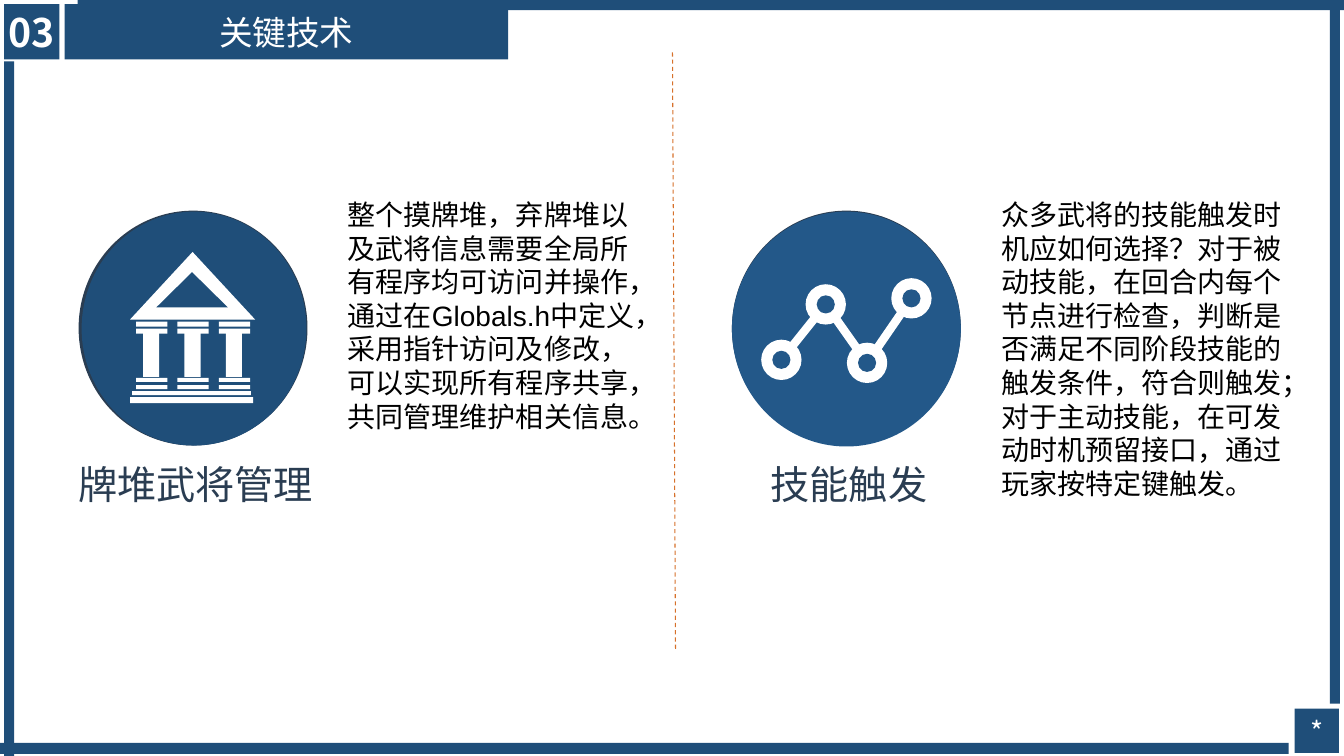
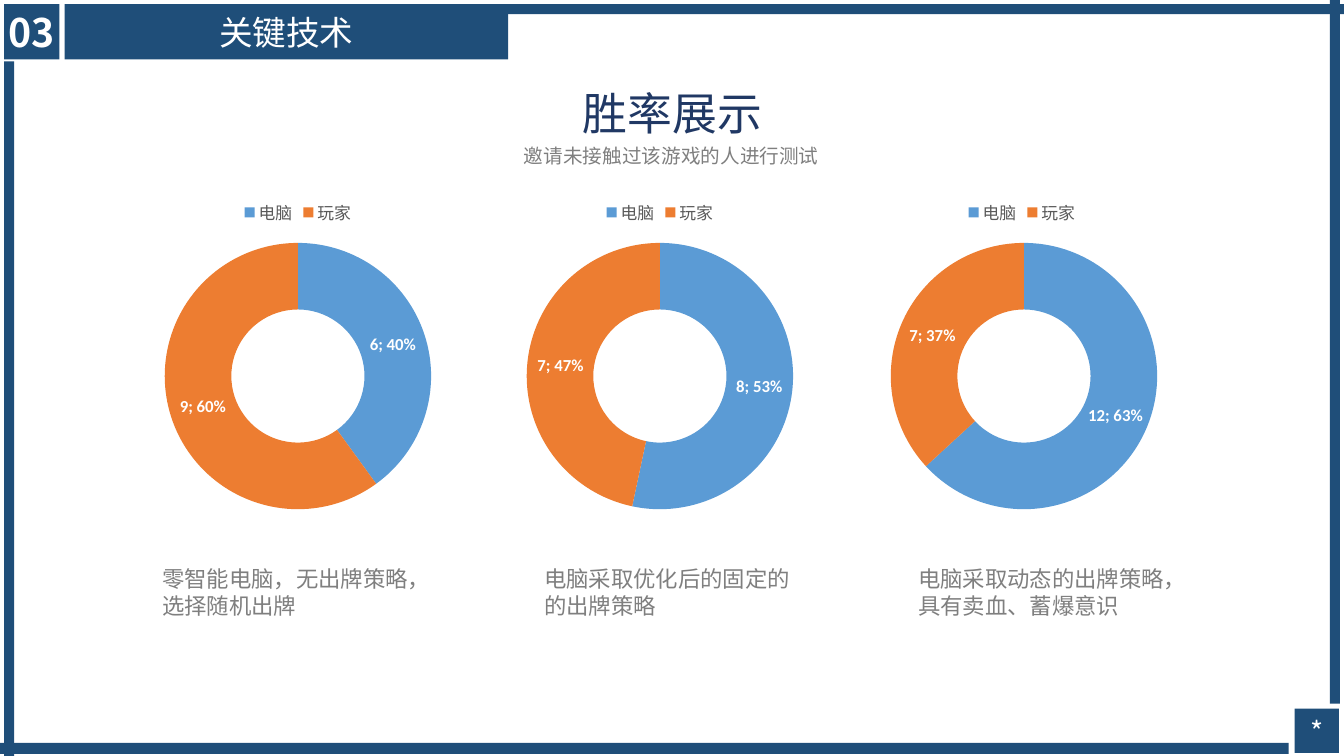
from itertools import pairwise

from lxml import etree
from pptx import Presentation
from pptx.chart.data import CategoryChartData
from pptx.dml.color import RGBColor
from pptx.enum.chart import XL_CHART_TYPE, XL_LEGEND_POSITION
from pptx.enum.dml import MSO_LINE
from pptx.enum.shapes import MSO_CONNECTOR, MSO_SHAPE
from pptx.enum.text import MSO_ANCHOR, MSO_AUTO_SIZE, PP_ALIGN
from pptx.oxml.ns import qn
from pptx.util import Inches, Pt

NAVY = "1F4E79"
BLUE = "235889"
SLATE = "2A3D52"
WHITE = "FFFFFF"
BLACK = "000000"
GRAY = "7F7F7F"
HEADING = "203864"
ORANGE = "D7712B"
LEGEND_GRAY = "595959"
SLICE_COLORS = ("5B9BD5", "ED7D31")
CJK_FONT = "Noto Sans CJK SC"
PANEL_STEP = 6.48


def rgb(value):
    return RGBColor.from_string(value)


def place(shape, left, top, width, height):
    shape.left, shape.top = Inches(left), Inches(top)
    shape.width, shape.height = Inches(width), Inches(height)


def write(shape, text, *, size, color, font=CJK_FONT, bold=False, align=PP_ALIGN.CENTER,
          anchor=MSO_ANCHOR.MIDDLE, inset=0, wrap=True, fixed_lines=False):
    """Put one formatted paragraph in a shape; inset is (side, end) inches or 0."""
    side, end = inset or (0, 0)
    frame = shape.text_frame
    frame.auto_size = MSO_AUTO_SIZE.NONE
    frame.word_wrap = wrap
    frame.vertical_anchor = anchor
    frame.margin_left = frame.margin_right = Inches(side)
    frame.margin_top = frame.margin_bottom = Inches(end)
    paragraph = frame.paragraphs[0]
    paragraph.alignment = align
    if fixed_lines:
        paragraph.line_spacing = Pt(size * 1.2)
    run = paragraph.add_run()
    run.text = text
    run.font.size = Pt(size)
    run.font.bold = bold
    run.font.name = font
    run.font.color.rgb = rgb(color)
    east_asian = etree.SubElement(run.font._element, qn("a:ea"))
    east_asian.set("typeface", CJK_FONT)


def add_text(slide, box, text, **formatting):
    text_box = slide.shapes.add_textbox(*map(Inches, box))
    write(text_box, text, **formatting)


def add_block_text(slide, box, text, **formatting):
    """Add wrapped text that starts at the top of its box."""
    add_text(slide, box, text, anchor=MSO_ANCHOR.TOP, inset=(0.1, 0.05),
             fixed_lines=True, **formatting)


def add_filled(shapes, kind, box, color):
    shape = shapes.add_shape(kind, *map(Inches, box))
    shape.shadow.inherit = False
    shape.fill.solid()
    shape.fill.fore_color.rgb = rgb(color)
    shape.line.fill.background()
    return shape


def add_disc(shapes, center_x, center_y, diameter, color):
    box = (center_x - diameter / 2, center_y - diameter / 2, diameter, diameter)
    add_filled(shapes, MSO_SHAPE.OVAL, box, color)


def add_line(shapes, start, end, color, width):
    line = shapes.add_connector(MSO_CONNECTOR.STRAIGHT, *map(Inches, (*start, *end)))
    line.line.color.rgb = rgb(color)
    line.line.width = Pt(width)
    etree.SubElement(line._element.spPr, qn("a:effectLst"))
    return line


def add_framed_slide(presentation, top_bar_y):
    """Add a slide with the section title, border bars and page badge."""
    slide = presentation.slides.add_slide(presentation.slide_layouts[5])
    bars = (
        (0.77, top_bar_y, 12.56, 0.1),
        (0, 7.37, 12.78, 0.11),
        (13.19, 0, 0.1, 6.98),
        (0.04, 0.61, 0.1, 6.89),
    )
    for box in bars:
        add_filled(slide.shapes, MSO_SHAPE.RECTANGLE, box, NAVY)

    title = slide.shapes.title
    place(title, 0.64, 0.04, 4.4, 0.55)
    title.fill.solid()
    title.fill.fore_color.rgb = rgb(NAVY)
    write(title, "关键技术", size=24, color=WHITE, inset=(0.1, 0.05))

    number = add_filled(slide.shapes, MSO_SHAPE.RECTANGLE, (0.04, 0.04, 0.55, 0.55), NAVY)
    write(number, "03", size=28, color=WHITE, bold=True)

    add_filled(slide.shapes, MSO_SHAPE.RECTANGLE, (12.84, 7.03, 0.44, 0.44), NAVY)
    add_text(slide, (12.8, 7.04, 0.53, 0.44), "*", size=20, color=WHITE,
             anchor=MSO_ANCHOR.TOP, inset=(0.1, 0.05), wrap=False)
    return slide


def add_panel(slide, index, caption, body, body_height):
    """Add a dark rim for the icon, its caption and the text beside it."""
    offset = PANEL_STEP * index
    add_filled(slide.shapes, MSO_SHAPE.OVAL, (0.78 + offset, 2.09, 2.27, 2.33), SLATE)
    add_block_text(slide, (0.64 + offset, 4.52, 2.6, 0.57), caption, size=28, color=SLATE)
    add_block_text(slide, (3.35 + offset, 1.91, 3.19, body_height), body, size=20,
                   color=BLACK, font="Arial", align=PP_ALIGN.LEFT)


def add_temple_icon(slide):
    shapes = slide.shapes.add_group_shape().shapes
    add_filled(shapes, MSO_SHAPE.OVAL, (0.81, 2.1, 2.23, 2.32), NAVY)
    add_filled(shapes, MSO_SHAPE.ISOSCELES_TRIANGLE, (1.29, 2.5, 1.24, 0.67), WHITE)
    add_filled(shapes, MSO_SHAPE.ISOSCELES_TRIANGLE, (1.55, 2.7, 0.71, 0.35), NAVY)
    blocks = [(1.31, 3.88, 1.18, 0.04), (1.29, 3.94, 1.22, 0.06)]
    for column in range(3):
        left = 1.35 + 0.41 * column
        blocks += [(left, top, 0.31, 0.05) for top in (3.19, 3.26)]
        blocks += [(left, top, 0.31, 0.04) for top in (3.75, 3.82)]
        blocks.append((left + 0.07, 3.3, 0.16, 0.44))
    for block in blocks:
        add_filled(shapes, MSO_SHAPE.RECTANGLE, block, WHITE)


def add_network_icon(slide):
    shapes = slide.shapes.add_group_shape().shapes
    add_filled(shapes, MSO_SHAPE.OVAL, (7.26, 2.1, 2.27, 2.33), BLUE)
    nodes = ((7.75, 3.57), (8.19, 3.02), (8.6, 3.6), (9.04, 2.96))
    for start, end in pairwise(nodes):
        add_line(shapes, start, end, WHITE, 6)
    for node in nodes:
        add_disc(shapes, *node, 0.4, WHITE)
        add_disc(shapes, *node, 0.18, BLUE)


def add_win_chart(slide, left, values):
    data = CategoryChartData()
    data.categories = ("电脑", "玩家")
    data.add_series("Series 1", values)
    box = map(Inches, (left, 1.87, 3.49, 3.32))
    chart = slide.shapes.add_chart(XL_CHART_TYPE.DOUGHNUT, *box, data).chart
    chart.has_title = False
    chart.font.size = Pt(10)
    chart.font.name = "Calibri"
    chart.font.color.rgb = rgb(BLACK)

    chart.has_legend = True
    legend = chart.legend
    legend.position = XL_LEGEND_POSITION.TOP
    legend.include_in_layout = False
    legend.font.size = Pt(12)
    legend.font.name = "Calibri"
    legend.font.color.rgb = rgb(LEGEND_GRAY)

    plot = chart.plots[0]
    plot.vary_by_categories = True
    series = plot.series[0]
    for index, color in enumerate(SLICE_COLORS):
        slice_format = series.points[index].format
        slice_format.fill.solid()
        slice_format.fill.fore_color.rgb = rgb(color)
        slice_format.line.fill.background()
    labels = series.data_labels
    labels.show_value = True
    labels.show_percentage = True
    labels.font.size = Pt(12)
    labels.font.bold = True
    labels.font.name = "Calibri"
    labels.font.color.rgb = rgb(WHITE)


def build_technology_slide(presentation):
    slide = add_framed_slide(presentation, 0)
    panels = (
        ("牌堆武将管理",
         "整个摸牌堆，弃牌堆以及武将信息需要全局所有程序均可访问并操作，"
         "通过在Globals.h中定义，采用指针访问及修改，"
         "可以实现所有程序共享，共同管理维护相关信息。", 2.46),
        ("技能触发",
         "众多武将的技能触发时机应如何选择？对于被动技能，在回合内每个节点进行检查，"
         "判断是否满足不同阶段技能的触发条件，符合则触发；"
         "对于主动技能，在可发动时机预留接口，通过玩家按特定键触发。", 3.13),
    )
    for index, panel in enumerate(panels):
        add_panel(slide, index, *panel)
    divider = add_line(slide.shapes, (6.67, 0.52), (6.7, 6.46), ORANGE, 0.75)
    divider.line.dash_style = MSO_LINE.DASH
    add_temple_icon(slide)
    add_network_icon(slide)


def build_win_rate_slide(presentation):
    slide = add_framed_slide(presentation, 0.04)
    add_text(slide, (3.26, 0.84, 6.82, 0.56), "胜率展示", size=32, color=HEADING, wrap=False)
    add_text(slide, (4.61, 1.4, 4.1, 0.28), "邀请未接触过该游戏的人进行测试",
             size=14, color=GRAY, wrap=False)
    trials = (
        ((6, 9), 1.51, "零智能电脑，无出牌策略，选择随机出牌"),
        ((8, 7), 5.3, "电脑采取优化后的固定的的出牌策略"),
        ((12, 7), 9.01, "电脑采取动态的出牌策略，具有卖血、蓄爆意识"),
    )
    for index, (values, caption_left, caption) in enumerate(trials):
        add_win_chart(slide, 1.21 + 3.59 * index, values)
        add_block_text(slide, (caption_left, 5.56, 2.75, 0.64), caption,
                       size=16, color=GRAY, align=PP_ALIGN.LEFT)


def main():
    presentation = Presentation()
    presentation.slide_width = Inches(13.33)
    presentation.slide_height = Inches(7.5)
    build_technology_slide(presentation)
    build_win_rate_slide(presentation)
    presentation.save("out.pptx")


if __name__ == "__main__":
    main()
